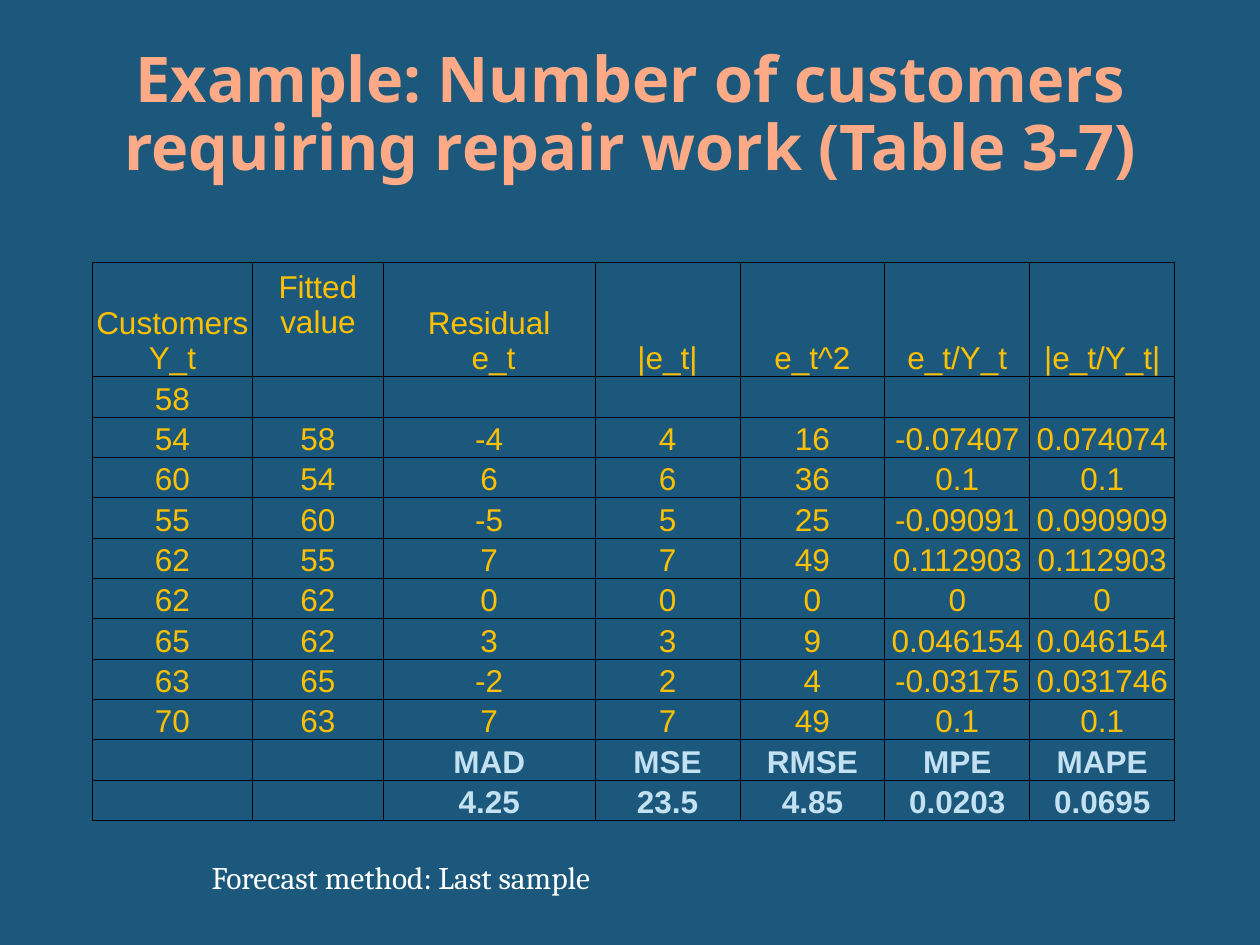
from dataclasses import dataclass

from lxml import etree
from pptx import Presentation
from pptx.dml.color import RGBColor
from pptx.enum.text import MSO_ANCHOR, PP_ALIGN
from pptx.oxml.ns import qn
from pptx.util import Pt

CENTER = PP_ALIGN.CENTER
MIDDLE, BOTTOM = MSO_ANCHOR.MIDDLE, MSO_ANCHOR.BOTTOM


@dataclass(frozen=True)
class Theme:
    background: str = "1B587C"
    title_start: str = "FFAA86"
    title_end: str = "FF9B6A"
    data: str = "FFC000"
    summary: str = "C4E1F2"
    note: str = "FFFFFF"
    border: str = "000000"
    title_font: str = "Noto Sans"
    table_font: str = "Arial"
    note_font: str = "Cambria"
    title_size: int = 36
    body_size: int = 18


THEME = Theme()

COLUMN_WIDTHS = [91.44, 74.88, 120.96] + [82.8] * 4
HEADER_HEIGHT, ROW_HEIGHT = 62, 22.65
LINE_HEIGHT = 20.7
INSET = 1.44
OUTER, INNER = 1, 0.5

HEADER = ["Customers Y_t", "Fitted value", "Residual\n e_t", "|e_t|", "e_t^2",
          "e_t/Y_t", "|e_t/Y_t|"]
DATA = [
    ["58", "", "", "", "", "", ""],
    ["54", "58", "-4", "4", "16", "-0.07407", "0.074074"],
    ["60", "54", "6", "6", "36", "0.1", "0.1"],
    ["55", "60", "-5", "5", "25", "-0.09091", "0.090909"],
    ["62", "55", "7", "7", "49", "0.112903", "0.112903"],
    ["62", "62", "0", "0", "0", "0", "0"],
    ["65", "62", "3", "3", "9", "0.046154", "0.046154"],
    ["63", "65", "-2", "2", "4", "-0.03175", "0.031746"],
    ["70", "63", "7", "7", "49", "0.1", "0.1"],
]
SUMMARY = [
    ["", "", "MAD", "MSE", "RMSE", "MPE", "MAPE"],
    ["", "", "4.25", "23.5", "4.85", "0.0203", "0.0695"],
]


def rgb(color):
    return RGBColor.from_string(color)


def add_run(p, text, font, size, color=None, bold=False):
    r = p.add_run()
    r.text = text
    r.font.name = font
    r.font.size = Pt(size)
    r.font.bold = bold
    if color:
        r.font.color.rgb = rgb(color)
    return r


def add_title(s, text):
    tf = s.shapes.add_textbox(Pt(36), Pt(21.6), Pt(648), Pt(90)).text_frame
    tf.word_wrap = True
    tf.vertical_anchor = MIDDLE
    p = tf.paragraphs[0]
    p.alignment = CENTER
    p.line_spacing = 0.9
    fill = add_run(p, text, THEME.title_font, THEME.title_size, bold=True).font.fill
    fill.gradient()
    fill.gradient_angle = 280
    stops = [(0.73, THEME.title_start), (1, THEME.title_end)]
    for stop, (position, color) in zip(fill.gradient_stops, stops):
        stop.position = position
        stop.color.rgb = rgb(color)


def set_borders(cell, widths):
    """Draw the left, right, top and bottom borders, in that order."""
    tcPr = cell._tc.get_or_add_tcPr()
    for i, (side, width) in enumerate(zip("LRTB", widths)):
        ln = etree.Element(qn(f"a:ln{side}"), w=str(Pt(width)))
        fill = etree.SubElement(ln, qn("a:solidFill"))
        etree.SubElement(fill, qn("a:srgbClr"), val=THEME.border)
        tcPr.insert(i, ln)


def fill_cell(cell, text, color, bold):
    cell.fill.background()
    cell.vertical_anchor = BOTTOM
    cell.margin_left = cell.margin_right = Pt(INSET)
    cell.margin_top = Pt(INSET if text else 0)
    cell.margin_bottom = Pt(0)
    if not text:
        return
    tf = cell.text_frame
    for i, line in enumerate(text.split("\n")):
        p = tf.add_paragraph() if i else tf.paragraphs[0]
        p.alignment = CENTER
        add_run(p, line, THEME.table_font, THEME.body_size, color, bold)


def add_error_table(s):
    rows = [HEADER] + DATA + SUMMARY
    heights = [HEADER_HEIGHT] + [ROW_HEIGHT] * (len(rows) - 1)
    last_row, last_col = len(rows) - 1, len(HEADER) - 1
    table = s.shapes.add_table(
        len(rows), len(HEADER), Pt(52.8), Pt(149.9),
        Pt(sum(COLUMN_WIDTHS)), Pt(sum(heights))).table
    table.first_row = table.horz_banding = False
    for column, width in zip(table.columns, COLUMN_WIDTHS):
        column.width = Pt(width)
    for row, height in zip(table.rows, heights):
        row.height = Pt(height)
    for i, values in enumerate(rows):
        is_summary = values in SUMMARY
        color = THEME.summary if is_summary else THEME.data
        for j, text in enumerate(values):
            cell = table.cell(i, j)
            fill_cell(cell, text, color, is_summary)
            on_edge = (j == 0, j == last_col, i == 0, i == last_row)
            set_borders(cell, [OUTER if edge else INNER for edge in on_edge])
    # The "Fitted value" heading sits one line above the others.
    table.cell(0, 1).margin_bottom = Pt(LINE_HEIGHT)


def add_note(s, text):
    tf = s.shapes.add_textbox(Pt(113.8), Pt(486.7), Pt(279.4), Pt(28.8)).text_frame
    tf.word_wrap = False
    add_run(tf.paragraphs[0], text, THEME.note_font, THEME.body_size, THEME.note)


def main():
    prs = Presentation()
    prs.slide_width, prs.slide_height = Pt(720), Pt(540)
    s = prs.slides.add_slide(prs.slide_layouts[6])
    s.background.fill.solid()
    s.background.fill.fore_color.rgb = rgb(THEME.background)
    add_title(s, "Example: Number of customers requiring repair work (Table 3-7)")
    add_error_table(s)
    add_note(s, "Forecast method: Last sample")
    prs.save("out.pptx")


if __name__ == "__main__":
    main()
